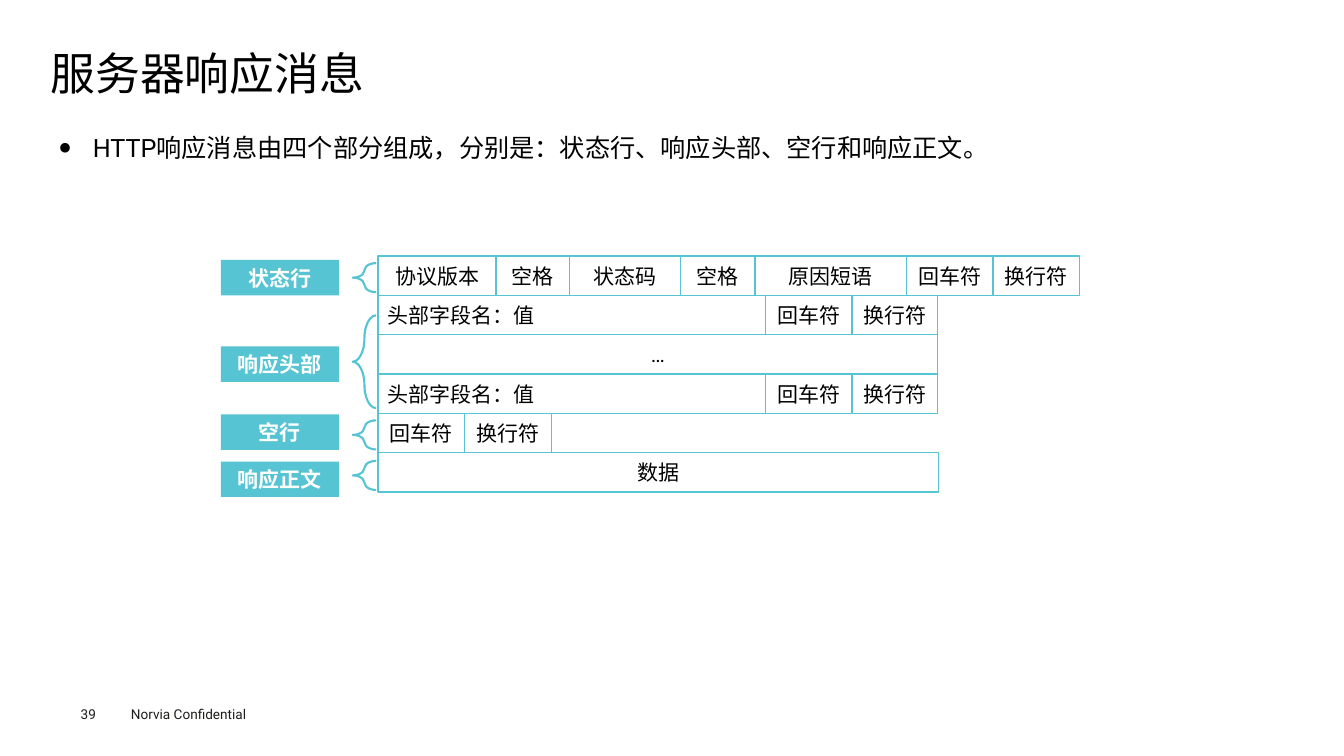
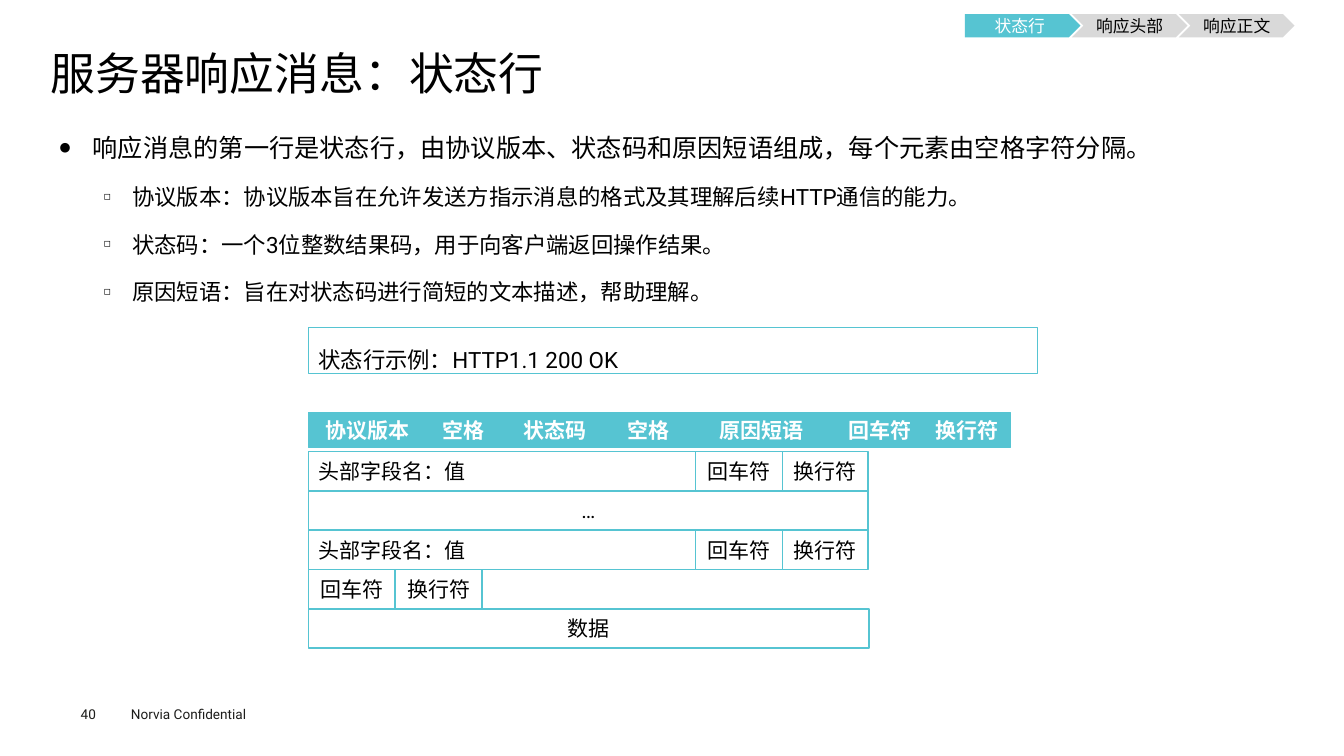
from dataclasses import dataclass

from lxml import etree
from pptx import Presentation
from pptx.dml.color import RGBColor
from pptx.enum.lang import MSO_LANGUAGE_ID
from pptx.enum.shapes import MSO_SHAPE
from pptx.enum.text import MSO_ANCHOR, MSO_AUTO_SIZE, PP_ALIGN
from pptx.oxml.ns import qn
from pptx.util import Inches, Pt

RECT, BRACE = MSO_SHAPE.RECTANGLE, MSO_SHAPE.LEFT_BRACE
PENTAGON, CHEVRON = MSO_SHAPE.PENTAGON, MSO_SHAPE.CHEVRON
LEFT, CENTER, JUSTIFY = PP_ALIGN.LEFT, PP_ALIGN.CENTER, PP_ALIGN.JUSTIFY
TOP, MIDDLE = MSO_ANCHOR.TOP, MSO_ANCHOR.MIDDLE
NO_FIT = MSO_AUTO_SIZE.NONE
CHINESE = MSO_LANGUAGE_ID.SIMPLIFIED_CHINESE

FONT = "Roboto"
COLORS = {"accent": "56C4D2", "black": "000000", "white": "FFFFFF",
          "footer": "1D1D1B", "inactive": "D9D9D9"}
UNIT = Inches(0.1)
LIST_LEVELS = [
    {"bullet": "●", "size": 18, "indent": 0.33, "hang": 0.33, "before": 7.9, "align": JUSTIFY},
    {"bullet": "◻", "size": 16, "indent": 0.72, "hang": 0.28, "before": 7.2, "align": LEFT},
]

STATUS_ROW = [("协议版本", 117), ("空格", 73), ("状态码", 110), ("空格", 74),
              ("原因短语", 150), ("回车符", 86), ("换行符", 86)]
HEADER_ROW = [("头部字段名：值", 384), ("回车符", 86), ("换行符", 85)]
MESSAGE_ROWS = [STATUS_ROW, HEADER_ROW, [("…", 555)], HEADER_ROW,
                [("回车符", 86), ("换行符", 86)], [("数据", 556)]]
MESSAGE_COLUMNS = sum(width for _, width in STATUS_ROW)
SECTIONS = [("状态行", 0.1, 0.18, 0.74), ("响应头部", 2.3, 1.51, 2.36),
            ("空行", 4.03, 4.18, 0.74), ("响应正文", 5.23, 5.21, 0.74)]


@dataclass
class Box:
    left: float
    top: float
    width: float
    height: float

    def emu(self):
        return [round(side * UNIT) for side in (self.left, self.top, self.width, self.height)]


def color(name):
    return RGBColor.from_string(COLORS[name])


def style_paragraph(paragraph, size, tint="black", bold=False, align=LEFT):
    paragraph.alignment = align
    for run in paragraph.runs:
        font = run.font
        font.size, font.bold, font.name = Pt(size), bold, FONT
        font.color.rgb = color(tint)
        font.language_id = CHINESE
        latin = run._r.rPr.find(qn("a:latin"))
        east_asian = etree.Element(qn("a:ea"), typeface=FONT)
        latin.addnext(east_asian)


def add_panel(slide, kind, box, text="", fill=None, line=None, line_width=1,
              size=15, tint="black", bold=False, align=CENTER):
    panel = slide.shapes.add_shape(kind, *box.emu())
    panel.shadow.inherit = False
    if fill:
        panel.fill.solid()
        panel.fill.fore_color.rgb = color(fill)
    else:
        panel.fill.background()
    if line:
        panel.line.color.rgb = color(line)
        panel.line.width = Pt(line_width)
    else:
        panel.line.fill.background()
    if text:
        frame = panel.text_frame
        frame.word_wrap = True
        frame.vertical_anchor = MIDDLE
        frame.text = text
        style_paragraph(frame.paragraphs[0], size, tint, bold, align)
    return panel


def add_footer_text(slide, box, text, margin):
    frame = slide.shapes.add_textbox(*box.emu()).text_frame
    frame.word_wrap = True
    if not margin:
        frame.margin_left = frame.margin_right = frame.margin_top = frame.margin_bottom = 0
    frame.text = text
    style_paragraph(frame.paragraphs[0], 9.7, "footer")


def place_placeholder(placeholder, box, anchor, margin_x, margin_y):
    placeholder.left, placeholder.top, placeholder.width, placeholder.height = box.emu()
    frame = placeholder.text_frame
    frame.auto_size = NO_FIT
    frame.word_wrap = True
    frame.vertical_anchor = anchor
    frame.margin_left = frame.margin_right = Inches(margin_x)
    frame.margin_top = frame.margin_bottom = Inches(margin_y)
    return frame


def add_bullet(paragraph, level):
    properties = paragraph._p.get_or_add_pPr()
    properties.set("marL", str(Inches(level["indent"])))
    properties.set("indent", str(-Inches(level["hang"])))
    etree.SubElement(properties, qn("a:buSzPct"), val="50000")
    etree.SubElement(properties, qn("a:buFont"), typeface=FONT)
    etree.SubElement(properties, qn("a:buChar"), char=level["bullet"])


def add_content_slide(deck, number, title, points):
    slide = deck.slides.add_slide(deck.slide_layouts[1])
    heading = place_placeholder(slide.shapes.title, Box(5, 4.9, 123.5, 5.3), MIDDLE, 0, 0)
    heading.text = title
    heading.paragraphs[0].line_spacing = 0.9
    style_paragraph(heading.paragraphs[0], 32)

    body = place_placeholder(slide.placeholders[1], Box(5, 11.5, 123.5, 53.4), TOP, 0.09, 0.04)
    body.text = "\n".join(text for _, text in points)
    for index, (paragraph, (depth, _)) in enumerate(zip(body.paragraphs, points)):
        level = LIST_LEVELS[depth]
        paragraph.level = depth
        add_bullet(paragraph, level)
        paragraph.line_spacing = 1.4
        paragraph.space_before = Pt(level["before"] if index else 0)
        style_paragraph(paragraph, level["size"], align=level["align"])

    add_footer_text(slide, Box(12, 69.5, 16, 2.7), "Norvia Confidential", True)
    add_footer_text(slide, Box(8, 70, 5.5, 1.6), str(number), False)
    return slide


def add_message(slide, box, highlight_status=False):
    column = box.width / MESSAGE_COLUMNS
    row_height = box.height / len(MESSAGE_ROWS)
    for row, fields in enumerate(MESSAGE_ROWS):
        left = box.left
        for text, columns in fields:
            cell = Box(left, box.top + row * row_height, columns * column, row_height)
            if highlight_status and row == 0:
                cell.height *= 0.9
                add_panel(slide, RECT, cell, text, "accent", "accent", 0.75,
                          tint="white", bold=True)
            else:
                align = LEFT if text == HEADER_ROW[0][0] else CENTER
                add_panel(slide, RECT, cell, text, "white", "accent", align=align)
            left += cell.width


def add_section_labels(slide, box, row_height):
    brace_width = box.width * 0.15
    for text, label_row, brace_row, brace_rows in SECTIONS:
        label = Box(box.left, box.top + label_row * row_height,
                    box.width * 0.76, row_height * 0.9)
        add_panel(slide, RECT, label, text, "accent", tint="white", bold=True)
        bracket = Box(box.left + box.width - brace_width, box.top + brace_row * row_height,
                      brace_width, brace_rows * row_height)
        brace = add_panel(slide, BRACE, bracket, line="accent", line_width=1.5)
        brace.adjustments[0] = 1.12


def add_progress(slide, box, steps, current):
    pitch = box.width / (len(steps) + 0.08)
    for index, text in enumerate(steps):
        active = index == current
        add_panel(slide, CHEVRON if index else PENTAGON,
                  Box(box.left + index * pitch, box.top, pitch * 1.08, box.height), text,
                  "accent" if active else "inactive", size=12,
                  tint="white" if active else "black")


def add_example(slide, box, text):
    example = add_panel(slide, RECT, box, text, line="accent", line_width=0.75,
                        size=16, align=LEFT)
    example.text_frame.vertical_anchor = TOP
    example.text_frame.paragraphs[0].line_spacing = 1.5


def build_overview(deck):
    slide = add_content_slide(deck, 39, "服务器响应消息", [
        (0, "HTTP响应消息由四个部分组成，分别是：状态行、响应头部、空行和响应正文。")])
    message = Box(37.5, 25.4, 69.6, 23.4)
    add_message(slide, message)
    add_section_labels(slide, Box(21.9, message.top, 15.4, message.height),
                       message.height / len(MESSAGE_ROWS))


def build_status_line(deck):
    slide = add_content_slide(deck, 40, "服务器响应消息：状态行", [
        (0, "响应消息的第一行是状态行，由协议版本、状态码和原因短语组成，每个元素由空格字符分隔。"),
        (1, "协议版本：协议版本旨在允许发送方指示消息的格式及其理解后续HTTP通信的能力。"),
        (1, "状态码：一个3位整数结果码，用于向客户端返回操作结果。"),
        (1, "原因短语：旨在对状态码进行简短的文本描述，帮助理解。")])
    add_progress(slide, Box(95.7, 1.4, 32.7, 2.3), ["状态行", "响应头部", "响应正文"], 0)
    add_example(slide, Box(30.6, 32.5, 72.3, 4.6), "状态行示例：HTTP1.1 200 OK")
    add_message(slide, Box(30.6, 40.9, 69.6, 23.4), highlight_status=True)


def main():
    deck = Presentation()
    deck.slide_width, deck.slide_height = Inches(13.33), Inches(7.5)
    build_overview(deck)
    build_status_line(deck)
    deck.save("out.pptx")


if __name__ == "__main__":
    main()
